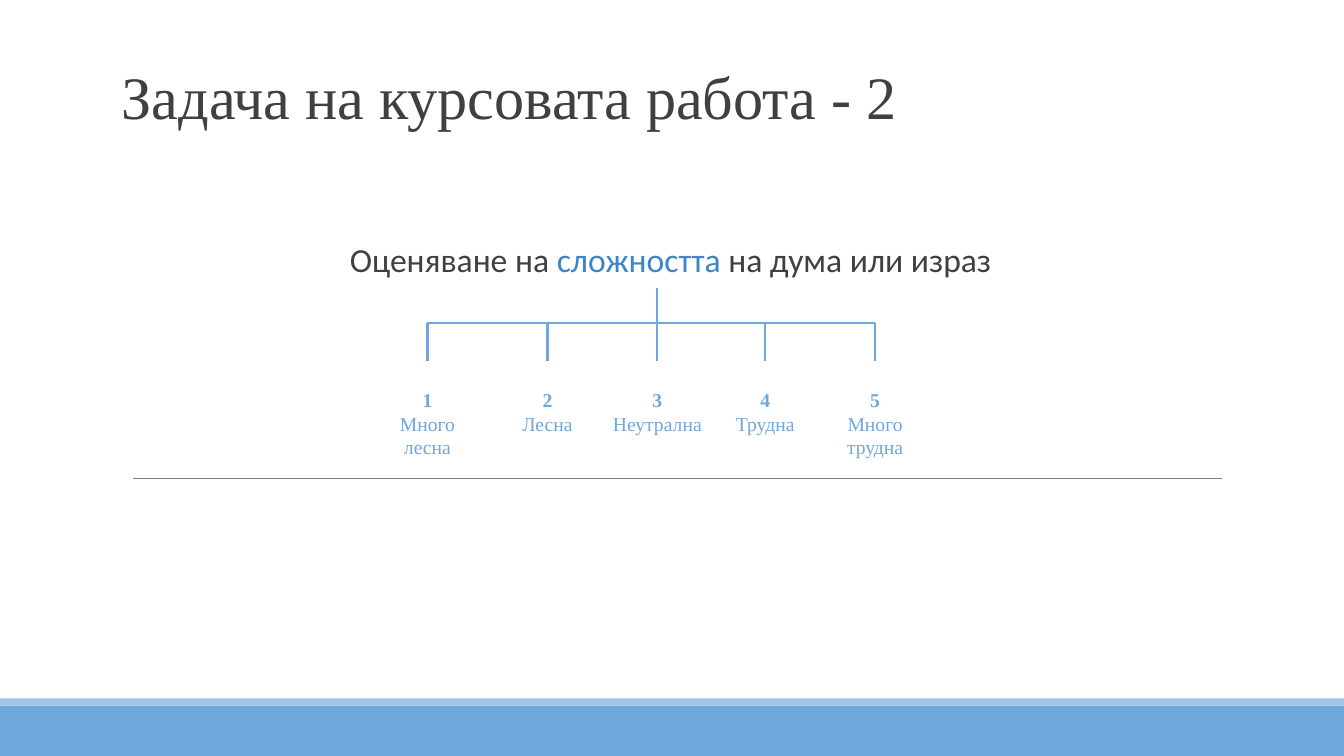
from lxml import etree
from pptx import Presentation
from pptx.dml.color import RGBColor
from pptx.enum.shapes import MSO_CONNECTOR, MSO_SHAPE
from pptx.enum.text import MSO_ANCHOR, PP_ALIGN
from pptx.oxml.ns import qn
from pptx.util import Inches, Pt

STRAIGHT = MSO_CONNECTOR.STRAIGHT
RECTANGLE = MSO_SHAPE.RECTANGLE
MIDDLE = MSO_ANCHOR.MIDDLE
CENTER = PP_ALIGN.CENTER

BLUE = RGBColor(0x6F, 0xA8, 0xDC)
LIGHT_BLUE = RGBColor(0x9F, 0xC5, 0xE8)
DARK_BLUE = RGBColor(0x3D, 0x85, 0xC6)
DARK_GRAY = RGBColor(0x40, 0x40, 0x40)
GRAY = RGBColor(0x7F, 0x7F, 0x7F)

prs = Presentation()
prs.slide_width = Inches(13.33)
prs.slide_height = Inches(7.5)
slide = prs.slides.add_slide(prs.slide_layouts[6])


def add_line(x1, y1, x2, y2, color, width):
    line = slide.shapes.add_connector(
        STRAIGHT, Inches(x1), Inches(y1), Inches(x2), Inches(y2))
    line.line.color.rgb = color
    line.line.width = Pt(width)
    etree.SubElement(line._element.spPr, qn("a:effectLst"))


def add_text_frame(left, top, width, height):
    frame = slide.shapes.add_textbox(
        Inches(left), Inches(top), Inches(width), Inches(height)).text_frame
    frame.word_wrap = True
    return frame


for top, height, color in [(7, 0.5, BLUE), (6.93, 0.07, LIGHT_BLUE)]:
    band = slide.shapes.add_shape(
        RECTANGLE, 0, Inches(top), prs.slide_width, Inches(height))
    band.shadow.inherit = False
    band.fill.solid()
    band.fill.fore_color.rgb = color
    band.line.fill.background()

add_line(1.32, 4.75, 12.12, 4.75, GRAY, 0.75)

title = add_text_frame(1.11, 0.6, 11, 0.8)
title.vertical_anchor = MIDDLE
heading = title.paragraphs[0]
heading.text = "Задача на курсовата работа - 2"
heading.line_spacing = 0.85
heading.font.name = "Times New Roman"
heading.font.size = Pt(43)
heading.font.color.rgb = DARK_GRAY

task = add_text_frame(3.47, 2.35, 6.39, 0.5)
task.vertical_anchor = MIDDLE
task.margin_left = task.margin_right = 0
sentence = task.paragraphs[0]
sentence.line_spacing = 0.9
sentence.font.name = "Calibri"
sentence.font.size = Pt(24)
for words, color in [("Оценяване на ", DARK_GRAY), ("сложността", DARK_BLUE),
                     (" на дума или израз", DARK_GRAY)]:
    run = sentence.add_run()
    run.text = words
    run.font.color.rgb = color

ratings = [(4.24, "Много лесна"), (5.43, "Лесна"), (6.52, "Неутрална"),
           (7.59, "Трудна"), (8.68, "Много трудна")]
add_line(ratings[0][0], 3.2, ratings[-1][0], 3.2, BLUE, 1.5)

for score, (x, difficulty) in enumerate(ratings, 1):
    branch_top = 2.86 if score == 3 else 3.2
    add_line(x, branch_top, x, 3.58, BLUE, 1.5)
    rating = add_text_frame(x - 0.55, 3.75, 1.1, 0.9)
    rating.margin_left = rating.margin_right = Inches(0.1)
    rating.margin_top = rating.margin_bottom = Inches(0.1)
    label = rating.paragraphs[0]
    label.alignment = CENTER
    label.font.name = "Times New Roman"
    label.font.size = Pt(14)
    label.font.color.rgb = BLUE
    number = label.add_run()
    number.text = str(score)
    number.font.bold = True
    label.add_line_break()
    label.add_run().text = difficulty

prs.save("out.pptx")
